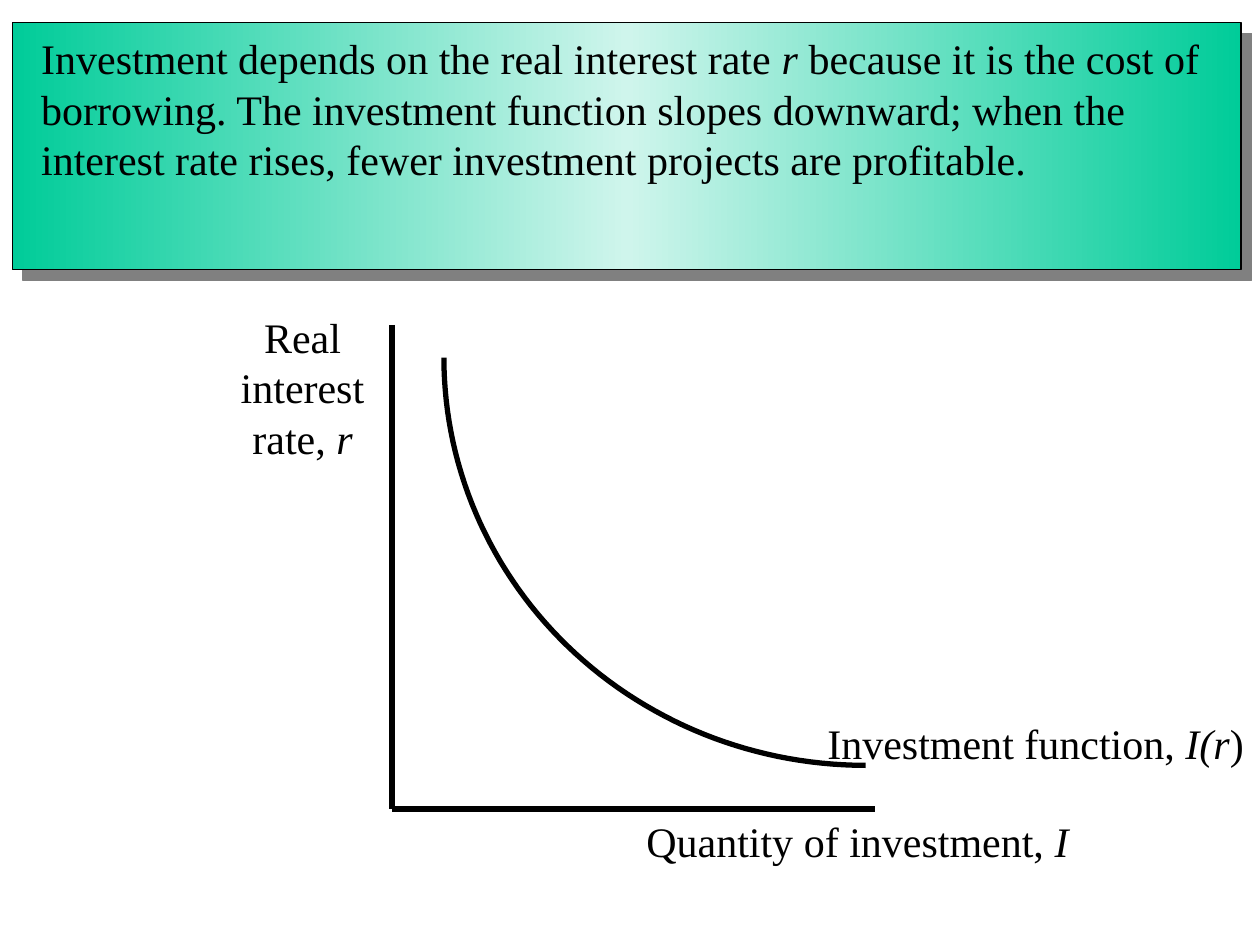
from copy import deepcopy
from dataclasses import dataclass
from math import cos, pi, sin

from pptx import Presentation
from pptx.dml.color import RGBColor
from pptx.enum.shapes import MSO_CONNECTOR as Connector, MSO_SHAPE as Shape
from pptx.enum.text import MSO_ANCHOR as Anchor, MSO_AUTO_SIZE as AutoSize, PP_ALIGN as Align
from pptx.oxml import parse_xml
from pptx.oxml.ns import nsdecls, qn
from pptx.util import Cm, Pt

BLACK, GREEN, MINT, GREY = "000000", "00CC99", "CFF5EC", "808080"
FONT = "Times New Roman"
LINE_WIDTH = 3


@dataclass
class Box:
    left: float
    top: float
    width: float
    height: float

    def lengths(self) -> tuple:
        return Cm(self.left), Cm(self.top), Cm(self.width), Cm(self.height)


@dataclass
class Label:
    text: str
    box: Box
    align: Align = Align.LEFT
    wrap: bool = False


def color(hex_code: str) -> RGBColor:
    return RGBColor.from_string(hex_code)


def set_line(shape, width: float) -> None:
    shape.line.color.rgb = color(BLACK)
    shape.line.width = Pt(width)


def write(frame, text: str, *, size=24, align=Align.LEFT, wrap=True) -> None:
    """Fill a text frame; parts between asterisks are set in italics."""
    frame.word_wrap = wrap
    frame.auto_size = AutoSize.NONE
    frame.vertical_anchor = Anchor.TOP
    frame.margin_left = frame.margin_right = Cm(0.25)
    frame.margin_top = frame.margin_bottom = Cm(0.13)
    for number, line in enumerate(text.split("\n")):
        paragraph = frame.add_paragraph() if number else frame.paragraphs[0]
        paragraph.alignment = align
        for index, part in enumerate(line.split("*")):
            if part:
                run = paragraph.add_run()
                run.text = part
                run.font.name, run.font.size = FONT, Pt(size)
                run.font.italic = index % 2 == 1
                run.font.color.rgb = color(BLACK)


def add_label(slide, label: Label) -> None:
    text_box = slide.shapes.add_textbox(*label.box.lengths())
    write(text_box.text_frame, label.text, align=label.align, wrap=label.wrap)


def add_axis(slide, start: tuple, end: tuple) -> None:
    axis = slide.shapes.add_connector(Connector.STRAIGHT, *map(Cm, start + end))
    set_line(axis, LINE_WIDTH)
    axis._element.spPr.append(parse_xml(f"<a:effectLst {nsdecls('a')}/>"))


def add_curve(slide, center: tuple, radii: tuple, steps: int = 60) -> None:
    """Draw the lower left quarter of an ellipse."""
    angles = [pi / 2 * (1 + step / steps) for step in range(steps + 1)]
    points = [(Cm(center[0] + radii[0] * cos(angle)), Cm(center[1] + radii[1] * sin(angle)))
              for angle in angles]
    builder = slide.shapes.build_freeform(*points[0])
    builder.add_line_segments(points[1:], close=False)
    curve = builder.convert_to_shape()
    curve.shadow.inherit = False
    curve.fill.background()
    set_line(curve, LINE_WIDTH)


def add_panel(slide, box: Box) -> None:
    panel = slide.shapes.add_shape(Shape.RECTANGLE, *box.lengths())
    set_line(panel, 0.75)
    # Gradient with a light middle
    panel.fill.gradient()
    panel.fill.gradient_angle = 0
    stop_list = panel._element.spPr.find(qn("a:gradFill")).find(qn("a:gsLst"))
    stop_list.append(deepcopy(stop_list[0]))
    for stop, position, shade in zip(panel.fill.gradient_stops, (0, 0.5, 1), (GREEN, MINT, GREEN)):
        stop.position = position
        stop.color.rgb = color(shade)
    # Hard shadow down to the right
    panel.shadow.inherit = False
    panel._element.spPr.find(qn("a:effectLst")).append(parse_xml(
        f'<a:outerShdw {nsdecls("a")} blurRad="0" dist="{Pt(8.5)}" dir="2700000" '
        f'algn="ctr" rotWithShape="0"><a:srgbClr val="{GREY}"/></a:outerShdw>'))


def add_title(slide, text: str, box: Box) -> None:
    title = slide.shapes.title
    title.left, title.top, title.width, title.height = box.lengths()
    write(title.text_frame, text)
    slide.shapes._spTree.append(title._element)  # in front of the panel


def main() -> None:
    presentation = Presentation()
    presentation.slide_width, presentation.slide_height = Cm(25.4), Cm(19.05)
    slide = presentation.slides.add_slide(presentation.slide_layouts[5])

    # Axes and their names
    origin = (7.9, 16.31)
    add_axis(slide, (origin[0], 6.55), origin)
    add_axis(slide, (17.63, origin[1]), origin)
    add_label(slide, Label("Real\ninterest\nrate, *r*", Box(4.6, 6.15, 3, 3.3), Align.CENTER))
    add_label(slide, Label("Quantity of investment, *I*",
                           Box(12.78, origin[1], 9.88, 1.27), wrap=True))

    # Investment function
    add_curve(slide, center=(17.45, 7.21), radii=(8.5, 8.22))
    add_label(slide, Label("Investment function, *I(r*)", Box(16.43, 14.33, 8.89, 1.27)))

    # Statement
    add_panel(slide, Box(0.25, 0.46, 24.77, 4.98))
    add_title(slide, "Investment depends on the real interest rate *r *because it is the cost "
                     "of borrowing. The investment function slopes downward; when the interest "
                     "rate rises, fewer investment projects are profitable.",
              Box(0.58, 0.53, 23.95, 3.3))

    presentation.save("out.pptx")


if __name__ == "__main__":
    main()
